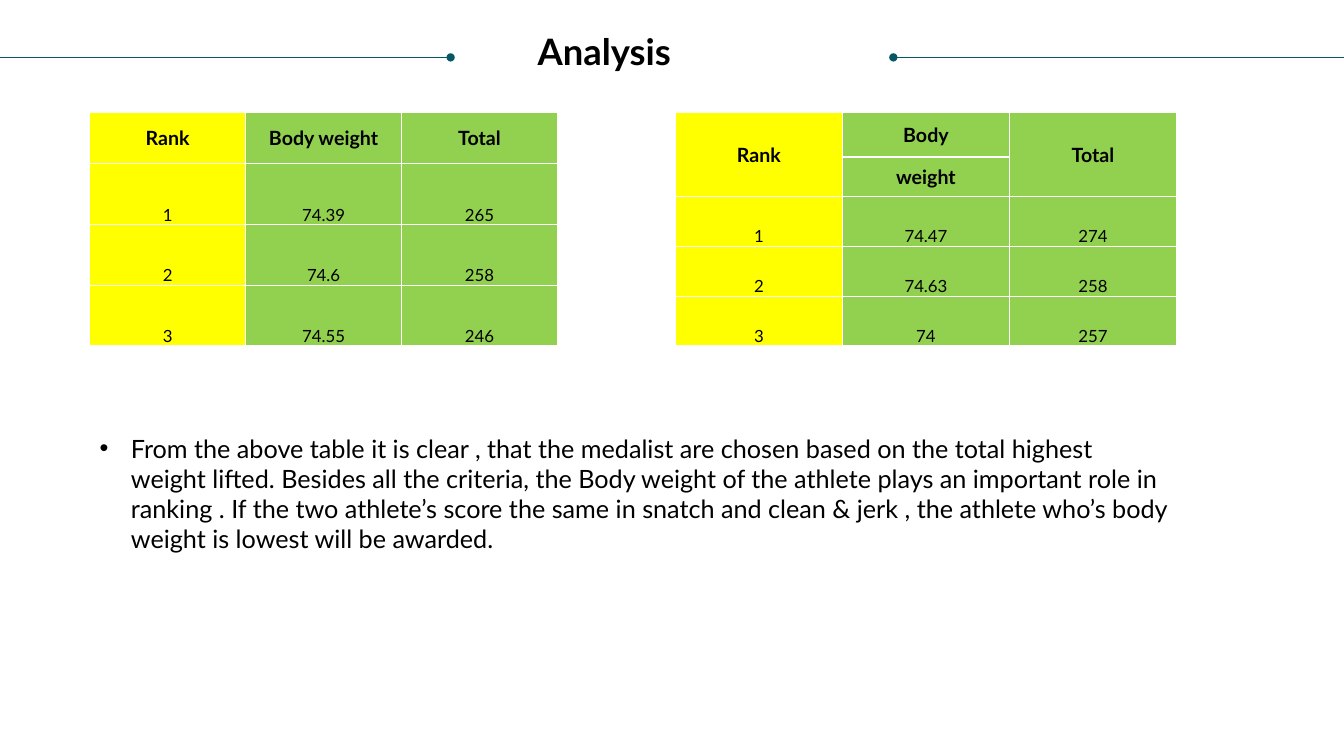
from lxml import etree
from pptx import Presentation, util as u
from pptx.dml.color import RGBColor
from pptx.enum import shapes, text
from pptx.oxml import parse_xml
from pptx.oxml.ns import qn

WIDE, HIGH = u.Inches(13.33), u.Inches(7.5)
FONT = "Lato"
BLACK = RGBColor(0, 0, 0)
TEAL = RGBColor(0x08, 0x57, 0x64)
YELLOW = RGBColor(0xFF, 0xFF, 0)
GREEN = RGBColor(0x92, 0xD0, 0x50)
EDGE = ('<a:{} xmlns:a="http://schemas.openxmlformats.org/drawingml/2006/main" w="12700">'
        '<a:solidFill><a:srgbClr val="FFFFFF"/></a:solidFill></a:{}>')

LEFT = [["Rank", "Body weight", "Total"],
        ["1", "74.39", "265"],
        ["2", "74.6", "258"],
        ["3", "74.55", "246"]]
RIGHT = [["Rank", "Body", "Total"],
         ["", "weight", ""],
         ["1", "74.47", "274"],
         ["2", "74.63", "258"],
         ["3", "74", "257"]]
NOTE = ("From the above table it is clear , that the medalist are chosen based on "
        "the total highest weight lifted. Besides all the criteria, the Body weight "
        "of the athlete plays an important role in ranking . If the two athlete’s "
        "score the same in snatch and clean & jerk , the athlete who’s body weight "
        "is lowest will be awarded.")


def area(x, y, w, h):
    """Turn percentages of the slide into a box."""
    return (int(WIDE * x / 100), int(HIGH * y / 100),
            int(WIDE * w / 100), int(HIGH * h / 100))


def style(para, size, bold=False):
    """Set the font of a paragraph."""
    font = para.font
    font.name, font.size, font.bold = FONT, u.Pt(size), bold
    font.color.rgb = BLACK


def write(slide, box, words, size, bold=False):
    """Place wrapped text and return its frame."""
    frame = slide.shapes.add_textbox(*box).text_frame
    frame.word_wrap = True
    frame.text = words
    style(frame.paragraphs[0], size, bold)
    return frame


def rule(slide, box, end):
    """Draw a thin level line with a dot at one end."""
    x, y, w, h = box
    line = slide.shapes.add_connector(shapes.MSO_CONNECTOR.STRAIGHT, x, y, x + w, y + h)
    line.line.color.rgb = TEAL
    line.line.width = u.Pt(0.5)
    etree.SubElement(line.line._get_or_add_ln(), qn(f"a:{end}"), type="oval")
    etree.SubElement(line._element.spPr, qn("a:effectLst"))


def title(slide, box):
    """Place the heading between two dotted rules."""
    x, y, w, h = box
    mid, side = y + int(h * 0.61), int(w * 0.3353)
    rule(slide, (x, mid, side, 0), "tailEnd")
    rule(slide, (x + w - side, mid, side, 0), "headEnd")
    frame = write(slide, box, "Analysis", 26, True)
    frame.margin_left = int(w * 0.4)


def paint(cell, words, fill, head):
    """Fill, edge and write one table cell."""
    cell.margin_left = cell.margin_right = cell.margin_top = cell.margin_bottom = 0
    cell.vertical_anchor = text.MSO_ANCHOR.MIDDLE if head else text.MSO_ANCHOR.BOTTOM
    props = cell._tc.get_or_add_tcPr()
    for side in ("lnL", "lnR", "lnT", "lnB"):
        props.append(parse_xml(EDGE.format(side, side)))
    cell.fill.solid()
    cell.fill.fore_color.rgb = fill
    cell.text = words
    para = cell.text_frame.paragraphs[0]
    para.alignment = text.PP_ALIGN.CENTER
    style(para, 14 if head else 12, head)


def ranks(slide, box, data, parts, heads=1):
    """Build a ranking table with rows sized by their parts."""
    grid = slide.shapes.add_table(len(data), len(data[0]), *box).table
    grid.first_row = grid.horz_banding = False
    for row, part in zip(grid.rows, parts):
        row.height = int(box[3] * part / sum(parts))
    for r, line in enumerate(data):
        for c, words in enumerate(line):
            paint(grid.cell(r, c), words, GREEN if c else YELLOW, r < heads)
    if heads > 1:
        for c in (0, 2):
            grid.cell(0, c).merge(grid.cell(heads - 1, c))


def note(slide, box):
    """Place the bulleted finding."""
    frame = write(slide, box, NOTE, 18)
    frame.margin_top = int(box[3] * 0.22)
    props = frame.paragraphs[0]._p.get_or_add_pPr()
    dent = u.Inches(0.31)
    props.set("marL", str(dent))
    props.set("indent", str(-dent))
    bullet = etree.Element(qn("a:buChar"), char="•")
    props.insert(0, bullet)
    props.insert(0, etree.Element(qn("a:buFont"), typeface="Arial"))


def main():
    """Build and save the slide."""
    deck = Presentation()
    deck.slide_width, deck.slide_height = WIDE, HIGH
    slide = deck.slides.add_slide(deck.slide_layouts[6])
    title(slide, area(0, 3.2, 100, 7.2))
    ranks(slide, area(6.68, 14.85, 34.8, 30.93), LEFT, [51, 60, 60, 60])
    ranks(slide, area(50.26, 14.85, 37.28, 30.93), RIGHT, [44, 39, 49, 49, 49], 2)
    note(slide, area(6.68, 52.53, 80.95, 21.6))
    deck.save("out.pptx")


if __name__ == "__main__":
    main()
